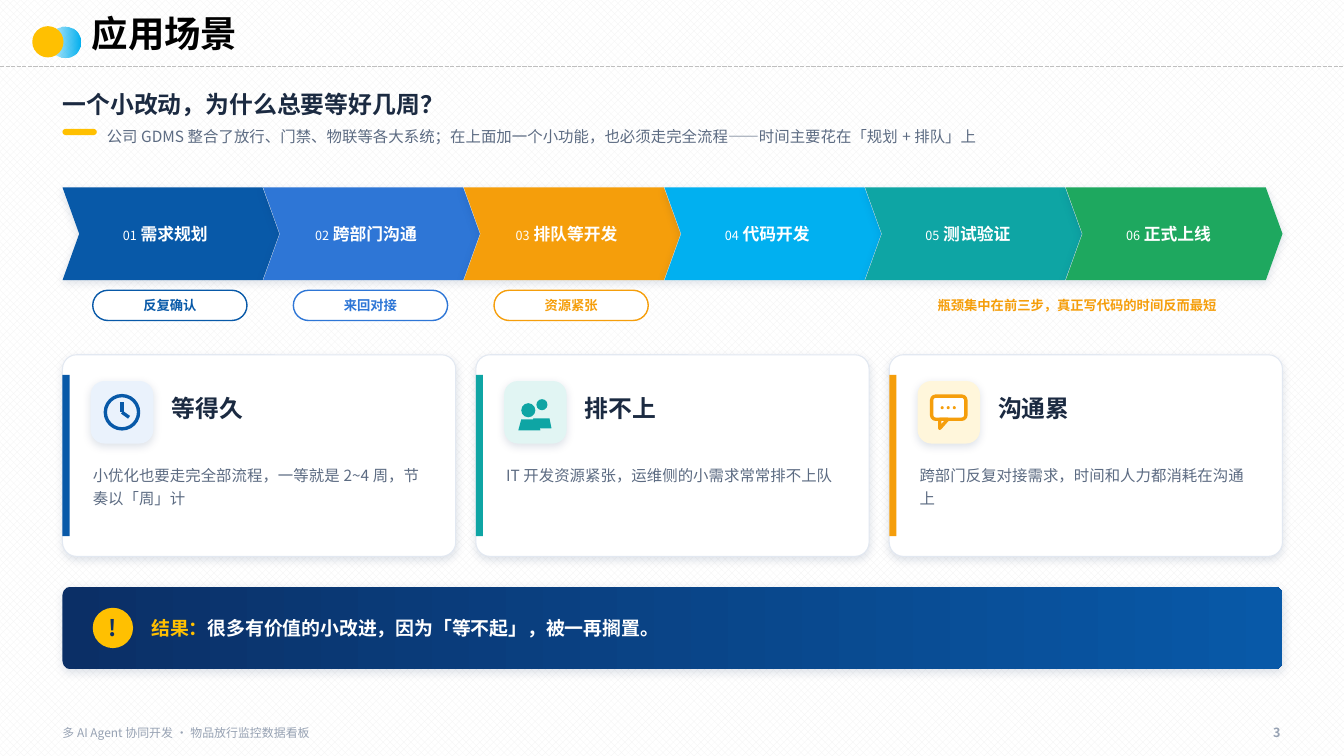
"""Build the slide on why small changes wait for weeks, on a grid of tenth-inch cells."""
import pptx
import pptx.util
import pptx.dml.color
import pptx.enum.dml
import pptx.enum.shapes
import pptx.enum.text
import pptx.oxml.ns
from lxml import etree

CELL = pptx.util.Inches(0.1)
FONT = "Noto Sans CJK SC"
NAVY, BLUE, SKY, TEAL = "0B2F66", "0859A8", "01B0F0", "0EA5A4"
GOLD, AMBER, INK, SLATE = "FFC001", "F59E0B", "1B2A41", "5C6B82"
GREY, WHITE = "97A2B3", "FFFFFF"
KIND = pptx.enum.shapes.MSO_SHAPE
ALIGN = pptx.enum.text.PP_ALIGN
ANCHOR = pptx.enum.text.MSO_ANCHOR
DASH = pptx.enum.dml.MSO_LINE
rgb = pptx.dml.color.RGBColor.from_string
qn = pptx.oxml.ns.qn

deck = pptx.Presentation()
deck.slide_width, deck.slide_height = pptx.util.Inches(13.33), pptx.util.Inches(7.5)
slide = deck.slides.add_slide(deck.slide_layouts[6])
back = slide.background.fill
back.patterned()
back.pattern = pptx.enum.dml.MSO_PATTERN.PERCENT_50
back.fore_color.rgb, back.back_color.rgb = rgb("F2F2F2"), rgb(WHITE)


def draw(kind, *spots, fill=None, edge=None, wide=1, adj=None, glow=False):
    """Add a preset shape, a line from end to end, or an outline through (x, y) spots."""
    if kind == "path":
        dots = [(round(x * CELL), round(y * CELL)) for x, y in spots]
        pen = slide.shapes.build_freeform(*dots[0])
        pen.add_line_segments(dots[1:], close=True)
        item = pen.convert_to_shape()
    else:
        box = [round(n * CELL) for n in spots]
        if kind == "line":
            item = slide.shapes.add_connector(pptx.enum.shapes.MSO_CONNECTOR.STRAIGHT, *box)
        else:
            item = slide.shapes.add_shape(kind, *box)
    if adj is not None:
        item.adjustments[0] = adj
    if isinstance(fill, tuple):
        item.fill.gradient()
        item.fill.gradient_angle = 0
        for stop, tone in zip(item.fill.gradient_stops, fill):
            stop.color.rgb = rgb(tone)
    elif fill:
        item.fill.solid()
        item.fill.fore_color.rgb = rgb(fill)
    elif kind != "line":
        item.fill.background()
    if edge:
        item.line.color.rgb = rgb(edge)
        item.line.width = pptx.util.Pt(wide)
    else:
        item.line.fill.background()
    effect = etree.SubElement(item._element.spPr, qn("a:effectLst"))
    if glow:
        shade = etree.SubElement(effect, qn("a:outerShdw"), blurRad="80000",
                                 dist="25400", dir="5400000", rotWithShape="0")
        tone = etree.SubElement(shade, qn("a:srgbClr"), val="0B2A5B")
        etree.SubElement(tone, qn("a:alpha"), val="13000")
    return item


def write(words, *box, size=11, tone=INK, bold=False, align=ALIGN.LEFT,
          anchor=ANCHOR.MIDDLE, lines=None, lead=None):
    """Add a text box; lead is an opening run given as (words, size, tone, bold)."""
    frame = slide.shapes.add_textbox(*[round(n * CELL) for n in box]).text_frame
    frame.word_wrap = True
    frame.vertical_anchor = anchor
    frame.margin_left = frame.margin_right = frame.margin_top = frame.margin_bottom = 0
    para = frame.paragraphs[0]
    para.alignment = align
    para.line_spacing = lines
    for part, points, hue, heavy in filter(None, [lead, (words, size, tone, bold)]):
        run = para.add_run()
        run.text = part
        run.font.name, run.font.size, run.font.bold = FONT, pptx.util.Pt(points), heavy
        run.font.color.rgb = rgb(hue)
        etree.SubElement(run._r.rPr, qn("a:ea"), typeface=FONT)


rule = draw("line", 0, 6.6, 133.3, 6.6, edge="BFBFBF")
rule.line.dash_style = DASH.SQUARE_DOT
disc = draw(KIND.OVAL, 4.9, 2.6, 3.1, 3.1, fill=(SKY, SKY))
etree.SubElement(next(disc._element.iter(qn("a:srgbClr"))), qn("a:alpha"), val="20000")
draw(KIND.OVAL, 3.2, 2.6, 3.1, 3.1, fill=GOLD)
write("应用场景", 9.1, 1.15, 30, 5, size=26, tone="000000", bold=True, anchor=ANCHOR.TOP)

write("一个小改动，为什么总要等好几周？", 6.2, 8.2, 121, 4.2, size=17, bold=True)
draw(KIND.ROUNDED_RECTANGLE, 6.2, 12.8, 3.4, 0.6, fill=GOLD, adj=0.5)
write("公司 GDMS 整合了放行、门禁、物联等各大系统；在上面加一个小功能，"
      "也必须走完全流程——时间主要花在「规划 + 排队」上", 10.6, 12, 116, 3, tone=SLATE)

steps = [("需求规划", BLUE, "反复确认"), ("跨部门沟通", "2E76D6", "来回对接"),
         ("排队等开发", AMBER, "资源紧张"), ("代码开发", SKY, None),
         ("测试验证", TEAL, None), ("正式上线", "1EA85F", None)]
for i, (name, tone, note) in enumerate(steps):
    x = 6.2 + 19.9 * i
    draw(KIND.CHEVRON, x, 18.6, 21.5, 9.2, fill=tone, adj=0.18, glow=True)
    write(" " + name, x + 1.6, 18.6, 17.2, 9.2, size=12, tone=WHITE, bold=True,
          align=ALIGN.CENTER, lead=(f"{i + 1:02}", 9, WHITE, False))
    if note:
        pill = (x + 3, 28.8, 15.3, 3)
        draw(KIND.ROUNDED_RECTANGLE, *pill, fill=WHITE, edge=tone, adj=0.5)
        write(note, *pill, size=9.5, tone=tone, bold=True, align=ALIGN.CENTER)
write("瓶颈集中在前三步，真正写代码的时间反而最短", 93, 28.8, 34, 3,
      size=9.5, tone=AMBER, bold=True)

cards = [("等得久", BLUE, "EAF2FC", "小优化也要走完全部流程，一等就是 2~4 周，节奏以「周」计"),
         ("排不上", TEAL, "E1F5F3", "IT 开发资源紧张，运维侧的小需求常常排不上队"),
         ("沟通累", AMBER, "FFF6DB", "跨部门反复对接需求，时间和人力都消耗在沟通上")]
for i, (name, tone, tint, body) in enumerate(cards):
    x = 6.2 + 41 * i
    draw(KIND.ROUNDED_RECTANGLE, x, 35.2, 39, 20, fill=WHITE, edge="E2E8F1",
         wide=0.75, adj=0.07, glow=True)
    draw(KIND.RECTANGLE, x, 37.2, 0.7, 16, fill=tone)
    draw(KIND.ROUNDED_RECTANGLE, x + 2.8, 37.8, 6.2, 6.2, fill=tint, adj=0.22, glow=True)
    write(name, x + 10.8, 38, 26, 5, size=17, bold=True)
    write(body, x + 3, 45.8, 33.2, 8, tone=SLATE, anchor=ANCHOR.TOP, lines=1.25)

draw(KIND.OVAL, 10.45, 39.25, 3.3, 3.3, edge=BLUE, wide=2.4)
for tip in [(12.1, 39.9), (12.8, 41.4)]:
    draw("line", 12.1, 40.9, *tip, edge=BLUE, wide=2.4)

for x, y, head, left, top, base, tall, slant in [
        (53.2, 39.6, 1.1, 52.7, 41.5, 2, 1, 0.2),
        (51.7, 40, 1.4, 51.4, 41.6, 2.2, 1.1, 0.3)]:
    draw(KIND.OVAL, x, y, head, head, fill=TEAL)
    draw("path", (left, top + tall), (left + slant, top), (left + base - slant, top),
         (left + base, top + tall), fill=TEAL)

draw(KIND.ROUNDED_RECTANGLE, 92.4, 39.3, 3.4, 2.3, fill=WHITE, edge=AMBER, wide=2.4, adj=0.18)
draw("path", (93.2, 41.6), (93.2, 42.5), (94, 41.6), fill=WHITE, edge=AMBER, wide=2.4)
for i in range(3):
    draw(KIND.OVAL, 93.3 + 0.6 * i, 40.3, 0.3, 0.3, fill=AMBER)

draw(KIND.ROUNDED_RECTANGLE, 6.2, 58.2, 121, 8.2, fill=(NAVY, BLUE), adj=0.1, glow=True)
badge = (9.2, 60.3, 4, 4)
draw(KIND.OVAL, *badge, fill=GOLD)
write("!", *badge, size=16, tone=NAVY, bold=True, align=ALIGN.CENTER)
write("很多有价值的小改进，因为「等不起」，被一再搁置。", 15, 58.2, 110, 8.2,
      size=13.5, tone=WHITE, bold=True, lead=("结果：", 13.5, GOLD, True))

write("多 AI Agent 协同开发 · 物品放行监控数据看板", 6.2, 71.2, 80, 3, size=8.5, tone=GREY)
write("3", 119, 71.2, 8, 3, size=9, tone=GREY, bold=True, align=ALIGN.RIGHT)

deck.save("out.pptx")
